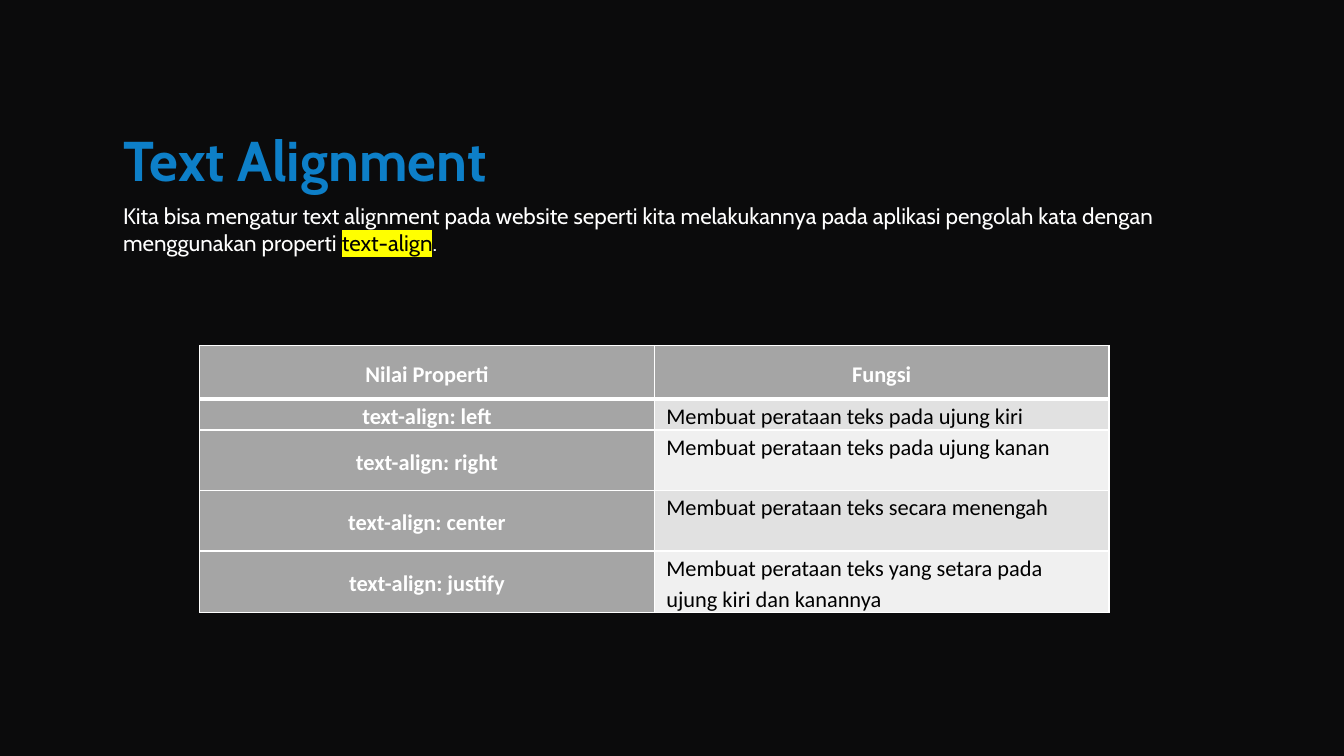
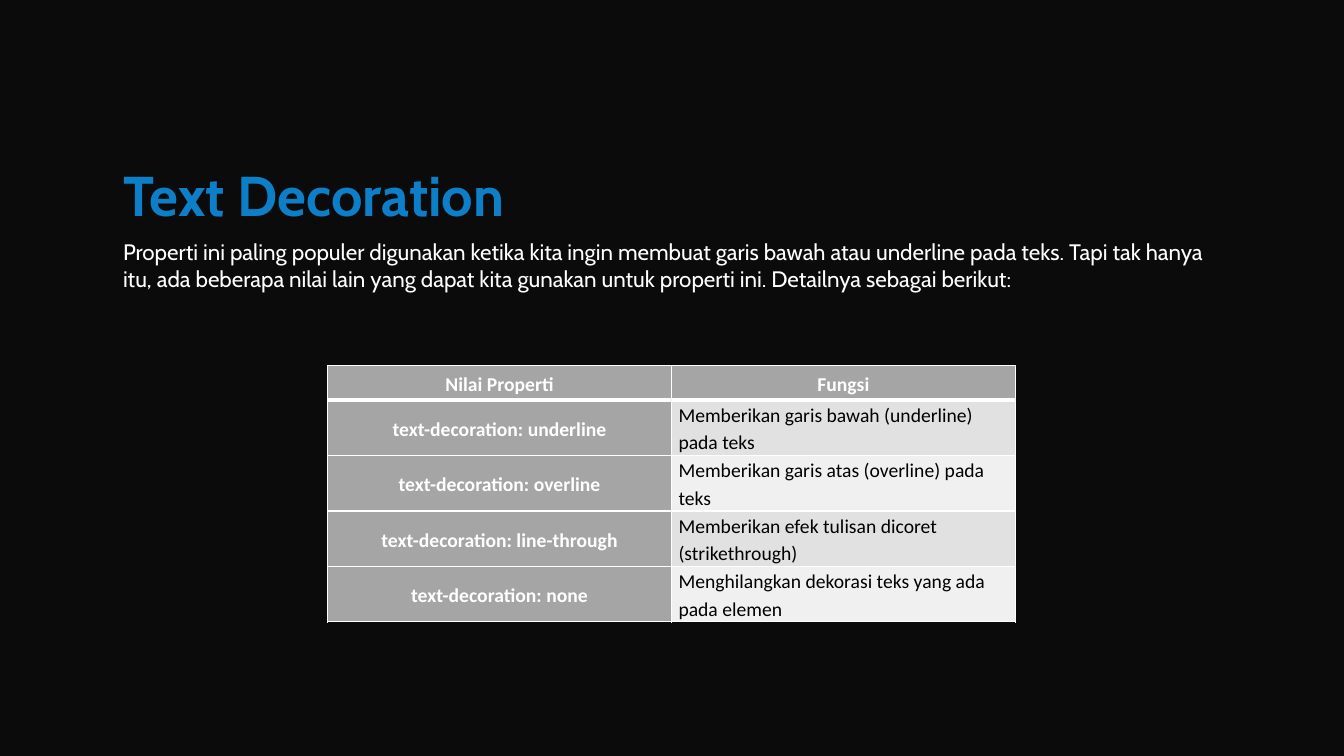
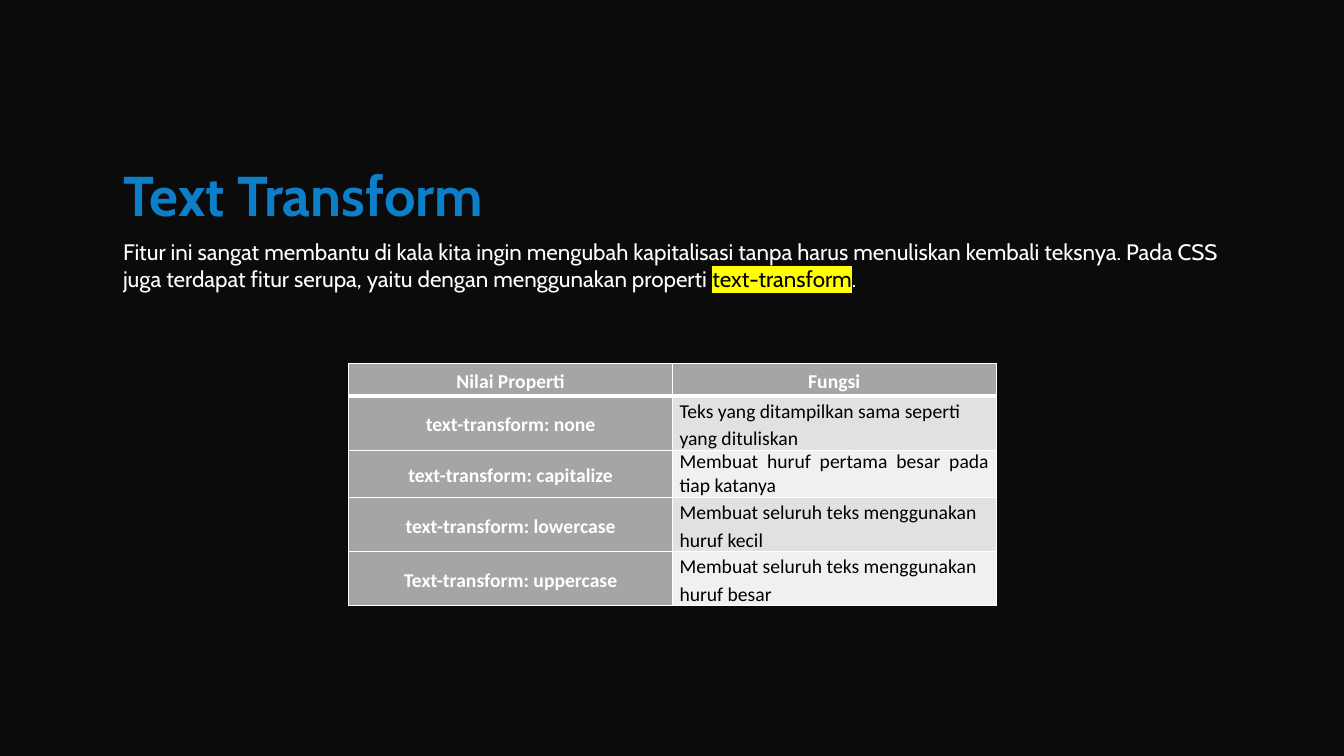
from lxml.etree import SubElement
from pptx import Presentation
from pptx.dml.color import RGBColor
from pptx.enum.text import MSO_ANCHOR, MSO_AUTO_SIZE, PP_ALIGN
from pptx.oxml.ns import qn
from pptx.util import Inches, Pt

BACKGROUND, BLUE, WHITE, BLACK = "0B0B0C", "0D7FC8", "FFFFFF", "000000"
YELLOW, HEADER_GRAY, BANDS = "FFFF00", "A5A5A5", ("E1E1E1", "F0F0F0")
HEADING_FONT, TABLE_FONT = "Cabin", "Calibri"
MARGIN, INTRO_WIDTH = 1.12, 11.08
TITLE_HEIGHT, INTRO_HEIGHT = 0.77, 0.64
HEADINGS = ("Nilai Properti", "Fungsi")


def rgb(code):
    """Return the colour for a hex string."""
    return RGBColor.from_string(code)


def style(font, name, size, color, bold=False):
    """Set the face, size, colour and weight of a font."""
    font.name, font.size, font.bold = name, Pt(size), bold
    font.color.rgb = rgb(color)


def place(holder, left, top, width, height):
    """Move a placeholder and let its frame follow the text from the top."""
    holder.left, holder.top = Inches(left), Inches(top)
    holder.width, holder.height = Inches(width), Inches(height)
    frame = holder.text_frame
    frame.auto_size = MSO_AUTO_SIZE.SHAPE_TO_FIT_TEXT
    frame.vertical_anchor = MSO_ANCHOR.TOP
    return frame


def add_title(slide, text, top, width):
    """Write the blue heading."""
    frame = place(slide.shapes.title, MARGIN, top, width, TITLE_HEIGHT)
    frame.word_wrap = False
    heading = frame.paragraphs[0]
    heading.text, heading.alignment = text, PP_ALIGN.LEFT
    style(heading.font, HEADING_FONT, 40, BLUE, True)


def add_intro(slide, text, top):
    """Write the introduction, highlighting the part between bars."""
    frame = place(slide.placeholders[1], MARGIN, top, INTRO_WIDTH, INTRO_HEIGHT)
    frame.word_wrap = True
    intro = frame.paragraphs[0]
    intro.space_before = Pt(0)
    style(intro.font, HEADING_FONT, 16, WHITE)
    properties = intro._p.get_or_add_pPr()
    properties.set("marL", "0")
    properties.set("indent", "0")
    properties.insert_element_before(
        properties.makeelement(qn("a:buNone")), "a:tabLst", "a:defRPr", "a:extLst")
    for index, part in enumerate(text.split("|")):
        run = intro.add_run()
        run.text = part
        if index % 2:
            run.font.color.rgb = rgb(BLACK)
            highlight = SubElement(run._r.get_or_add_rPr(), qn("a:highlight"))
            SubElement(highlight, qn("a:srgbClr"), val=YELLOW)


def set_borders(cell, top, bottom):
    """Draw white cell borders, with given top and bottom widths in points."""
    properties = cell._tc.get_or_add_tcPr()
    sides = (("L", 1), ("R", 1), ("T", top), ("B", bottom))
    for index, (side, width) in enumerate(sides):
        line = properties.makeelement(qn(f"a:ln{side}"), {"w": str(Pt(width))})
        fill = SubElement(line, qn("a:solidFill"))
        SubElement(fill, qn("a:srgbClr"), val=WHITE)
        properties.insert(index, line)


def fill_cell(cell, text, row, column, size, padding, justified):
    """Write one cell as a gray label or as a banded description."""
    label = row == 0 or column == 0
    cell.fill.solid()
    cell.fill.fore_color.rgb = rgb(HEADER_GRAY if label else BANDS[(row - 1) % 2])
    cell.margin_left = cell.margin_right = Inches(padding)
    cell.margin_top = cell.margin_bottom = 0
    cell.vertical_anchor = MSO_ANCHOR.MIDDLE if label else MSO_ANCHOR.TOP
    entry = cell.text_frame.paragraphs[0]
    entry.text = text
    entry.alignment = PP_ALIGN.CENTER if label else PP_ALIGN.LEFT
    entry.line_spacing = 1.15
    if justified and not label:
        entry.alignment, entry.line_spacing = PP_ALIGN.JUSTIFY, 1.0
    style(entry.font, TABLE_FONT, size, WHITE if label else BLACK, label)
    set_borders(cell, 3 if row == 1 else 1, 3 if row == 0 else 1)


def add_property_table(slide, entries, left, top, column_width, heights,
                       size=14, padding=0.07, justified_row=None):
    """Add the table of property values and their functions."""
    rows = [HEADINGS, *entries]
    table = slide.shapes.add_table(
        len(rows), len(HEADINGS), Inches(left), Inches(top),
        Inches(column_width * len(HEADINGS)), Inches(sum(heights))).table
    table.first_col = True
    for column in table.columns:
        column.width = Inches(column_width)
    for row, (texts, height) in enumerate(zip(rows, heights)):
        table.rows[row].height = Inches(height)
        for column, text in enumerate(texts):
            fill_cell(table.cell(row, column), text, row, column, size,
                      padding, row == justified_row)


def add_topic(deck, title, title_width, intro, top):
    """Add a slide with its heading and introduction."""
    slide = deck.slides.add_slide(deck.slide_layouts[1])
    add_title(slide, title, top, title_width)
    add_intro(slide, intro, top + TITLE_HEIGHT)
    return slide


def main():
    """Build the deck about CSS text properties."""
    deck = Presentation()
    deck.slide_width, deck.slide_height = Inches(13.33), Inches(7.5)
    backdrop = deck.slide_master.background.fill
    backdrop.solid()
    backdrop.fore_color.rgb = rgb(BACKGROUND)

    alignment = add_topic(
        deck, "Text Alignment", 4.17,
        "Kita bisa mengatur text alignment pada website seperti kita melakukannya "
        "pada aplikasi pengolah kata dengan menggunakan properti |text-align|.", 1.19)
    add_property_table(alignment, [
        ("text-align: left", "Membuat perataan teks pada ujung kiri"),
        ("text-align: right", "Membuat perataan teks pada ujung kanan"),
        ("text-align: center", "Membuat perataan teks secara menengah"),
        ("text-align: justify",
         "Membuat perataan teks yang setara pada ujung kiri dan kanannya"),
    ], 1.98, 3.43, 4.51, [0.53, 0.29, 0.6, 0.6, 0.6], size=16, padding=0.12)

    decoration = add_topic(
        deck, "Text Decoration", 4.36,
        "Properti ini paling populer digunakan ketika kita ingin membuat garis bawah "
        "atau underline pada teks. Tapi tak hanya itu, ada beberapa nilai lain yang "
        "dapat kita gunakan untuk properti ini. Detailnya sebagai berikut:", 1.54)
    add_property_table(decoration, [
        ("text-decoration: underline", "Memberikan garis bawah (underline) pada teks"),
        ("text-decoration: overline", "Memberikan garis atas (overline) pada teks"),
        ("text-decoration: line-through",
         "Memberikan efek tulisan dicoret (strikethrough)"),
        ("text-decoration: none", "Menghilangkan dekorasi teks yang ada pada elemen"),
    ], 3.25, 3.63, 3.41, [0.34] + [0.55] * 4)

    transform = add_topic(
        deck, "Text Transform", 4.19,
        "Fitur ini sangat membantu di kala kita ingin mengubah kapitalisasi tanpa "
        "harus menuliskan kembali teksnya. Pada CSS juga terdapat fitur serupa, "
        "yaitu dengan menggunakan properti |text-transform|.", 1.54)
    add_property_table(transform, [
        ("text-transform: none", "Teks yang ditampilkan sama seperti yang dituliskan"),
        ("text-transform: capitalize", "Membuat huruf pertama besar pada tiap katanya"),
        ("text-transform: lowercase", "Membuat seluruh teks menggunakan huruf kecil"),
        ("Text-transform: uppercase", "Membuat seluruh teks menggunakan huruf besar"),
    ], 3.46, 3.61, 3.21, [0.32, 0.53, 0.47, 0.53, 0.53], justified_row=2)

    deck.save("out.pptx")


if __name__ == "__main__":
    main()
